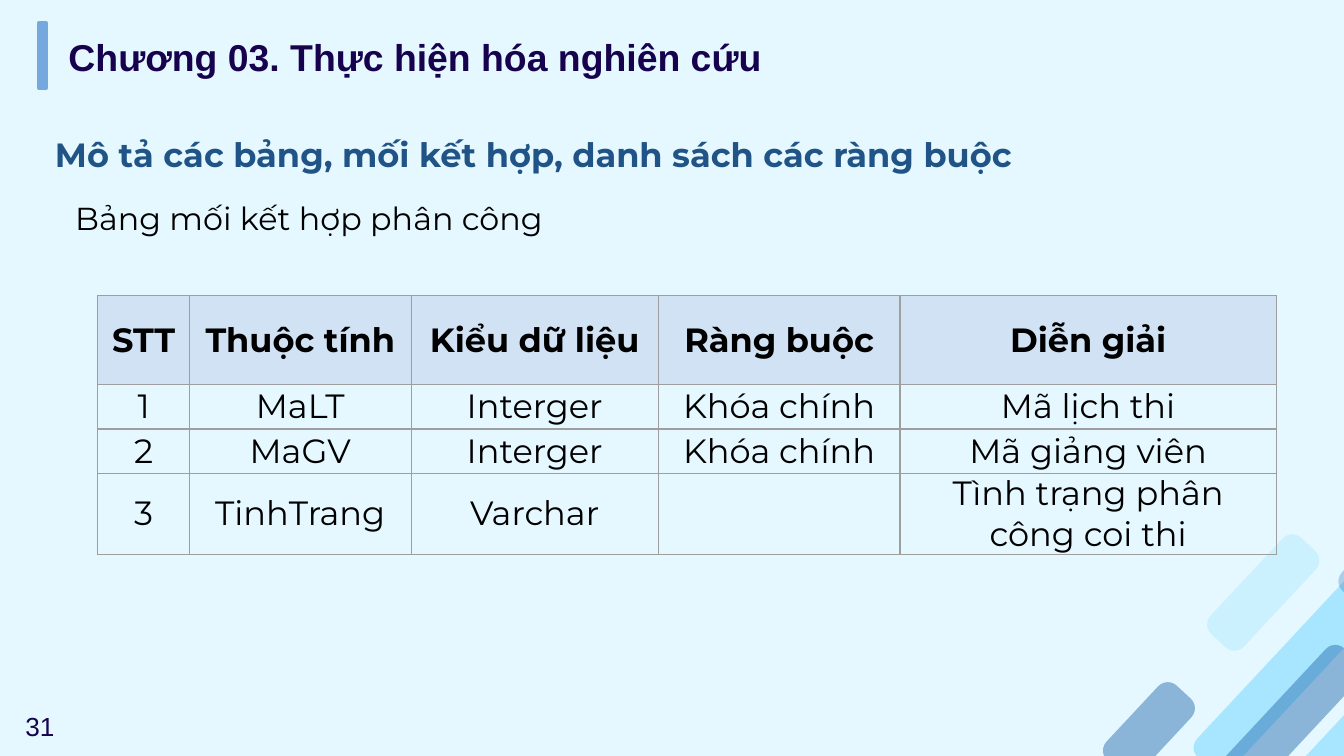
import pptx
import pptx.util
import pptx.dml.color
import pptx.enum.shapes
import pptx.enum.text
import pptx.oxml
import pptx.oxml.ns
from lxml import etree

Cm = pptx.util.Cm
Pt = pptx.util.Pt
SHAPE = pptx.enum.shapes.MSO_SHAPE
ALIGN = pptx.enum.text.PP_ALIGN
ANCHOR = pptx.enum.text.MSO_ANCHOR
qn = pptx.oxml.ns.qn

COLORS = {
    "background": "E6F8FF",
    "blue": "2C70B3",
    "cyan": "17BFFE",
    "accent": "75A9DD",
    "navy": "17024E",
    "heading": "215486",
    "black": "000000",
    "header": "D1E2F4",
    "border": "9E9E9E",
}

BARS = [
    (20.75, 13.36, 1.93, "blue", 49),
    (21.87, 11.94, 5.66, "cyan", 30),
    (20.78, 14.02, 5.66, "blue", 49),
    (24.51, 13.64, 1.93, "cyan", 30),
    (22.63, 10.77, 2.49, "cyan", 13),
    (25.2, 10.16, 1.93, "blue", 30),
]

COLUMNS = [1.73, 4.19, 4.67, 4.57, 7.11]
ROWS = [1.68, 0.84, 0.84, 0.84]
CELLS = [
    ["STT", "Thuộc tính", "Kiểu dữ liệu", "Ràng buộc", "Diễn giải"],
    ["1", "MaLT", "Interger", "Khóa chính", "Mã lịch thi"],
    ["2", "MaGV", "Interger", "Khóa chính", "Mã giảng viên"],
    ["3", "TinhTrang", "Varchar", "", "Tình trạng phân công coi thi"],
]


def rgb(name):
    return pptx.dml.color.RGBColor.from_string(COLORS[name])


def write(tf, text, font="Montserrat", size=18, color="black", bold=False,
          align=ALIGN.LEFT, spacing=None):
    p = tf.paragraphs[0]
    p.alignment = align
    p.line_spacing = spacing
    p.font.size = Pt(size)
    if text:
        r = p.add_run()
        r.text = text
        r.font.name = font
        r.font.size = Pt(size)
        r.font.bold = bold
        r.font.color.rgb = rgb(color)


def place(sp, left, top, width, height):
    sp.left, sp.top, sp.width, sp.height = map(Cm, (left, top, width, height))


def add_block(s, kind, left, top, width, height, color):
    sp = s.shapes.add_shape(kind, Cm(left), Cm(top), Cm(width), Cm(height))
    sp.shadow.inherit = False
    sp.fill.solid()
    sp.fill.fore_color.rgb = rgb(color)
    return sp


def add_bar(s, left, top, width, color, opacity):
    sp = add_block(s, SHAPE.ROUNDED_RECTANGLE, left, top, width, 0.86, color)
    sp.adjustments[0] = 0.29
    sp.rotation = 313
    sp.line.fill.background()
    fill = sp.fill._xPr.find(qn("a:solidFill"))
    etree.SubElement(fill[0], qn("a:alpha"), val=str(opacity * 1000))


def add_title(s, text):
    sp = s.shapes.title
    place(sp, 1.04, 0.51, 20.75, 1.12)
    tf = sp.text_frame
    tf.auto_size = pptx.enum.text.MSO_AUTO_SIZE.NONE
    tf.vertical_anchor = ANCHOR.MIDDLE
    write(tf, text, font="Arial", size=20, color="navy", bold=True)


def add_text(s, text, box, **fmt):
    sp = s.shapes.add_textbox(*map(Cm, box))
    sp.text_frame.word_wrap = True
    write(sp.text_frame, text, **fmt)


def set_borders(cell):
    tcPr = cell._tc.get_or_add_tcPr()
    for i, side in enumerate(("lnL", "lnR", "lnT", "lnB")):
        ln = etree.Element(qn(f"a:{side}"), w=str(Pt(0.75)))
        fill = etree.SubElement(ln, qn("a:solidFill"))
        etree.SubElement(fill, qn("a:srgbClr"), val=COLORS["border"])
        tcPr.insert(i, ln)


def add_grid(s, left, top):
    frame = s.shapes.add_table(len(ROWS), len(COLUMNS), Cm(left), Cm(top),
                               Cm(sum(COLUMNS)), Cm(sum(ROWS)))
    table = frame.table
    table.first_row = table.horz_banding = False
    for column, width in zip(table.columns, COLUMNS):
        column.width = Cm(width)
    for i, (row, height) in enumerate(zip(table.rows, ROWS)):
        row.height = Cm(height)
        for cell, text in zip(row.cells, CELLS[i]):
            cell.margin_left = cell.margin_right = Cm(0.18)
            cell.margin_top = cell.margin_bottom = 0
            cell.vertical_anchor = ANCHOR.MIDDLE
            if i == 0:
                cell.fill.solid()
                cell.fill.fore_color.rgb = rgb("header")
            else:
                cell.fill.background()
            set_borders(cell)
            write(cell.text_frame, text, bold=i == 0, align=ALIGN.CENTER)


def main():
    prs = pptx.Presentation()
    prs.slide_width, prs.slide_height = Cm(25.4), Cm(14.29)
    s = prs.slides.add_slide(prs.slide_layouts[5])
    s.background.fill.solid()
    s.background.fill.fore_color.rgb = rgb("background")
    for bar in BARS:
        add_bar(s, *bar)
    accent = add_block(s, SHAPE.RECTANGLE, 0.74, 0.43, 0.13, 1.24, "accent")
    accent.line.color.rgb = rgb("accent")
    accent.line.width = Pt(2)
    add_title(s, "Chương 03. Thực hiện hóa nghiên cứu")
    add_text(s, "Mô tả các bảng, mối kết hợp, danh sách các ràng buộc",
             (0.79, 2.03, 24.03, 1.27), color="heading", bold=True,
             align=ALIGN.JUSTIFY, spacing=1.5)
    add_text(s, "Bảng mối kết hợp phân công", (1.17, 3.63, 10.64, 0.99), size=17)
    add_grid(s, 1.85, 5.59)
    add_text(s, "31", (0.23, 13.31, 1.5, 0.86), font="Arial", size=14, color="navy")
    prs.save("out.pptx")


if __name__ == "__main__":
    main()
